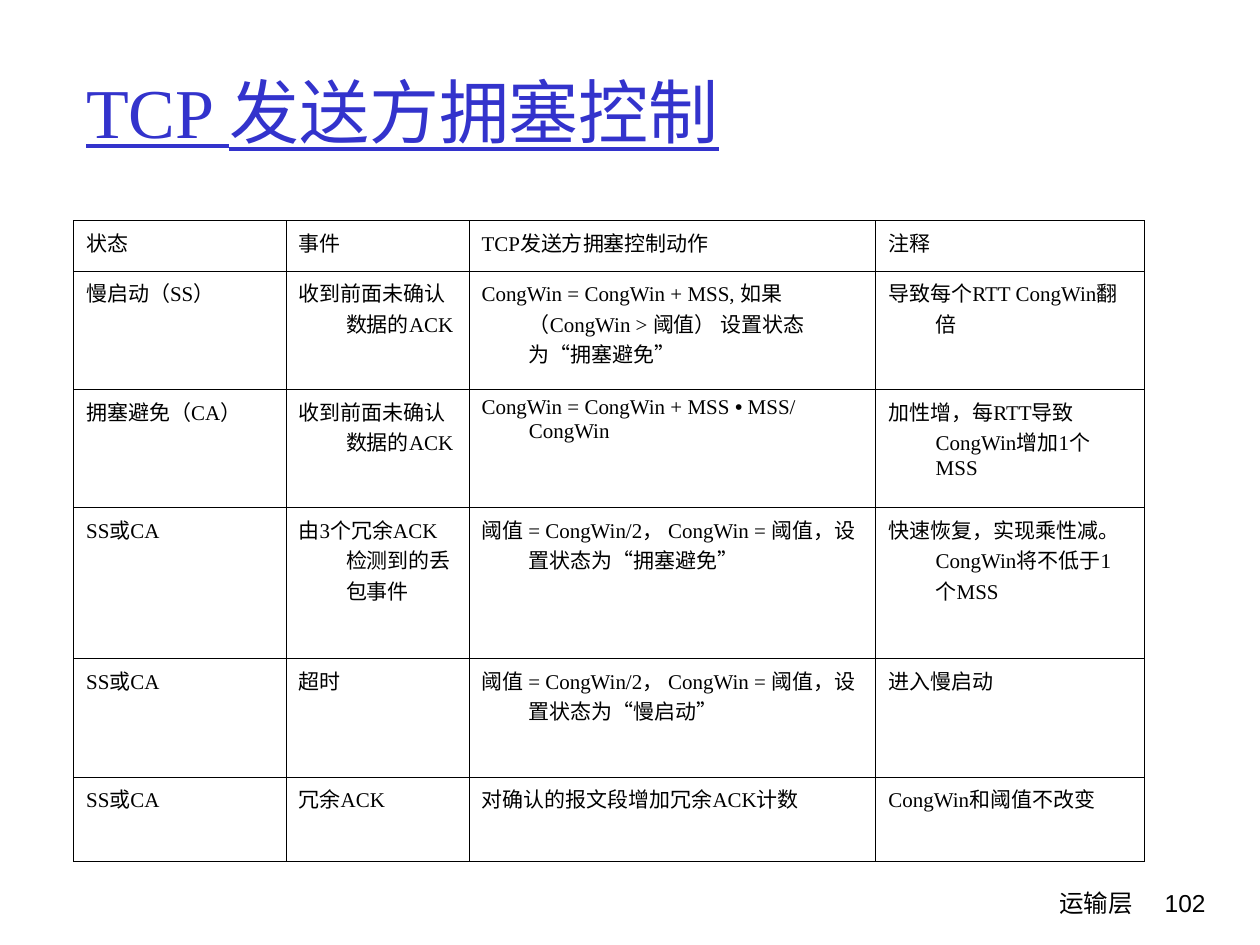
from dataclasses import dataclass

from lxml import etree
from pptx import Presentation
from pptx.dml.color import RGBColor
from pptx.enum.text import MSO_ANCHOR, MSO_AUTO_SIZE, PP_ALIGN
from pptx.oxml.ns import qn
from pptx.slide import Slide
from pptx.table import _Cell
from pptx.text.text import _Paragraph
from pptx.util import Pt

LEFT, RIGHT = PP_ALIGN.LEFT, PP_ALIGN.RIGHT
MIDDLE = MSO_ANCHOR.MIDDLE
NO_AUTOFIT = MSO_AUTO_SIZE.NONE

BLACK = RGBColor(0x00, 0x00, 0x00)
BLUE = RGBColor(0x33, 0x33, 0xCC)
SERIF, SANS, COMIC = "Times New Roman", "Arial", "Comic Neue"

BULLET = "•"
BORDER_WIDTH = Pt(0.45)
HANGING_INDENT = Pt(27)
TABLE_LEFT, TABLE_TOP = Pt(42), Pt(126)
COLUMN_WIDTHS = [Pt(121.5), Pt(104.5), Pt(232.5), Pt(153.5)]
ROW_HEIGHTS = [Pt(29), Pt(67.5), Pt(67.5), Pt(86.5), Pt(67.5), Pt(48)]

ROWS = [
    ("状态", "事件", "TCP发送方拥塞控制动作", "注释"),
    ("慢启动（SS）", "收到前面未确认数据的ACK",
     "CongWin = CongWin + MSS, 如果（CongWin > 阈值） 设置状态为“拥塞避免”",
     "导致每个RTT CongWin翻倍"),
    ("拥塞避免（CA）", "收到前面未确认数据的ACK",
     "CongWin = CongWin + MSS • MSS/ CongWin",
     "加性增，每RTT导致CongWin增加1个MSS"),
    ("SS或CA", "由3个冗余ACK检测到的丢包事件",
     "阈值 = CongWin/2， CongWin = 阈值，设置状态为“拥塞避免”",
     "快速恢复，实现乘性减。CongWin将不低于1个MSS"),
    ("SS或CA", "超时",
     "阈值 = CongWin/2， CongWin = 阈值，设置状态为“慢启动”",
     "进入慢启动"),
    ("SS或CA", "冗余ACK", "对确认的报文段增加冗余ACK计数",
     "CongWin和阈值不改变"),
]


@dataclass
class Footer:
    text: str
    left: float
    width: float
    font: str


FOOTERS = [
    Footer("运输层", 426, 228.5, COMIC),
    Footer("102", 643, 53, SANS),
]


def add_span(para: _Paragraph, text: str, font: str, size: float,
             color: RGBColor = BLACK) -> None:
    span = para.add_run()
    span.text = text
    span.font.name = font
    span.font.size = Pt(size)
    span.font.color.rgb = color


def add_footer(page: Slide, footer: Footer) -> None:
    box = page.shapes.add_textbox(Pt(footer.left), Pt(504), Pt(footer.width), Pt(36))
    box.text_frame.word_wrap = True
    para = box.text_frame.paragraphs[0]
    para.alignment = RIGHT
    add_span(para, footer.text, footer.font, 14)


def add_borders(cell: _Cell) -> None:
    properties = cell._tc.get_or_add_tcPr()
    for side in ("a:lnL", "a:lnR", "a:lnT", "a:lnB"):
        line = etree.SubElement(properties, qn(side), w=str(int(BORDER_WIDTH)))
        fill = etree.SubElement(line, qn("a:solidFill"))
        etree.SubElement(fill, qn("a:srgbClr"), val=str(BLACK))


def fill_cell(cell: _Cell, text: str) -> None:
    add_borders(cell)
    cell.fill.background()
    para = cell.text_frame.paragraphs[0]
    properties = para._p.get_or_add_pPr()
    properties.set("marL", str(int(HANGING_INDENT)))
    properties.set("indent", str(-int(HANGING_INDENT)))
    # The multiplication dot has its own font
    before, dot, after = text.partition(BULLET)
    for part in (before, dot, after):
        if part:
            add_span(para, part, SANS if part == BULLET else SERIF, 12)


def add_title(page: Slide, text: str) -> None:
    title = page.shapes.title
    title.left, title.top, title.width, title.height = Pt(42), Pt(18), Pt(612), Pt(90)
    frame = title.text_frame
    frame.auto_size = NO_AUTOFIT
    frame.word_wrap = True
    frame.vertical_anchor = MIDDLE
    para = frame.paragraphs[0]
    para.alignment = LEFT
    add_span(para, text, SERIF, 40, BLUE)
    para.runs[0].font.underline = True


def add_state_table(page: Slide) -> None:
    table = page.shapes.add_table(
        len(ROWS), len(COLUMN_WIDTHS), TABLE_LEFT, TABLE_TOP,
        sum(COLUMN_WIDTHS), sum(ROW_HEIGHTS)).table
    table.first_row = False
    table.horz_banding = False
    for column, width in zip(table.columns, COLUMN_WIDTHS):
        column.width = width
    for row, height, texts in zip(table.rows, ROW_HEIGHTS, ROWS):
        row.height = height
        for cell, text in zip(row.cells, texts):
            fill_cell(cell, text)


def main() -> None:
    deck = Presentation()
    deck.slide_width, deck.slide_height = Pt(720), Pt(540)
    page = deck.slides.add_slide(deck.slide_layouts.get_by_name("Title Only"))

    # Footer, title and table
    for footer in FOOTERS:
        add_footer(page, footer)
    add_title(page, "TCP 发送方拥塞控制")
    add_state_table(page)

    deck.save("out.pptx")


if __name__ == "__main__":
    main()
